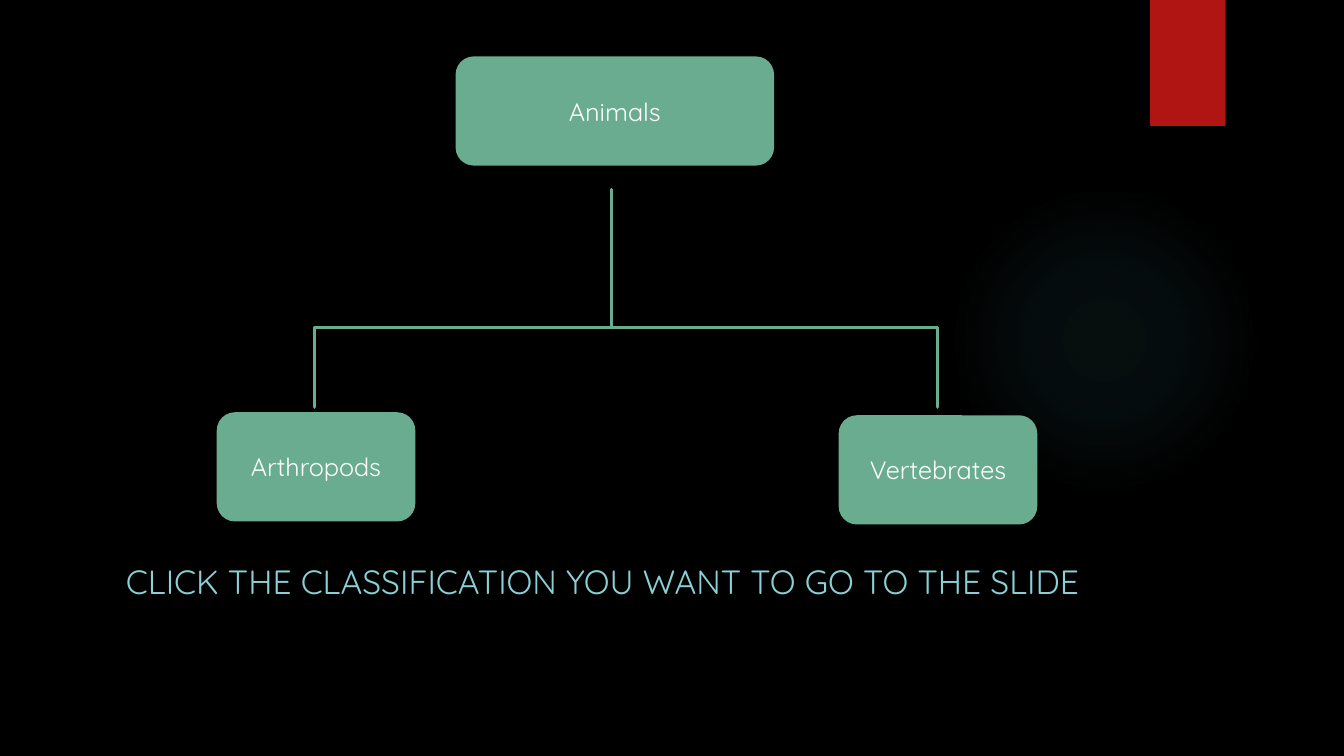
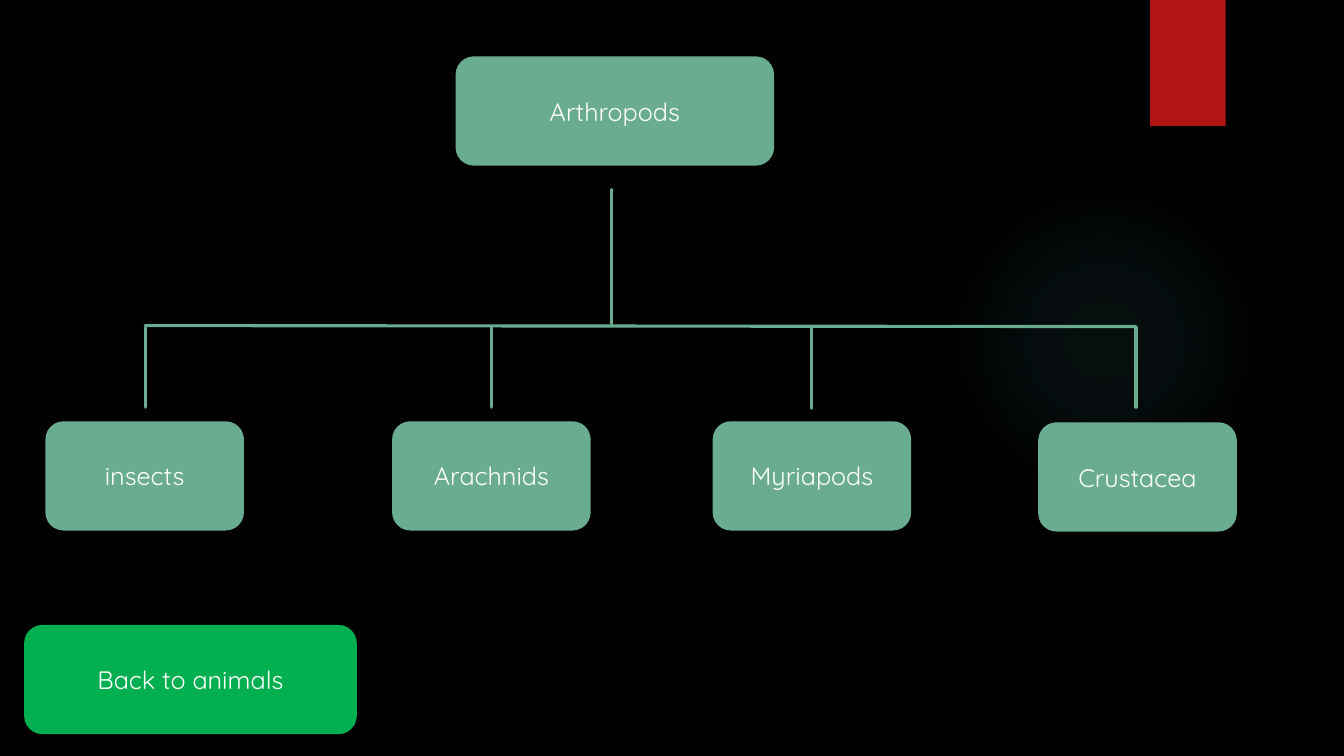
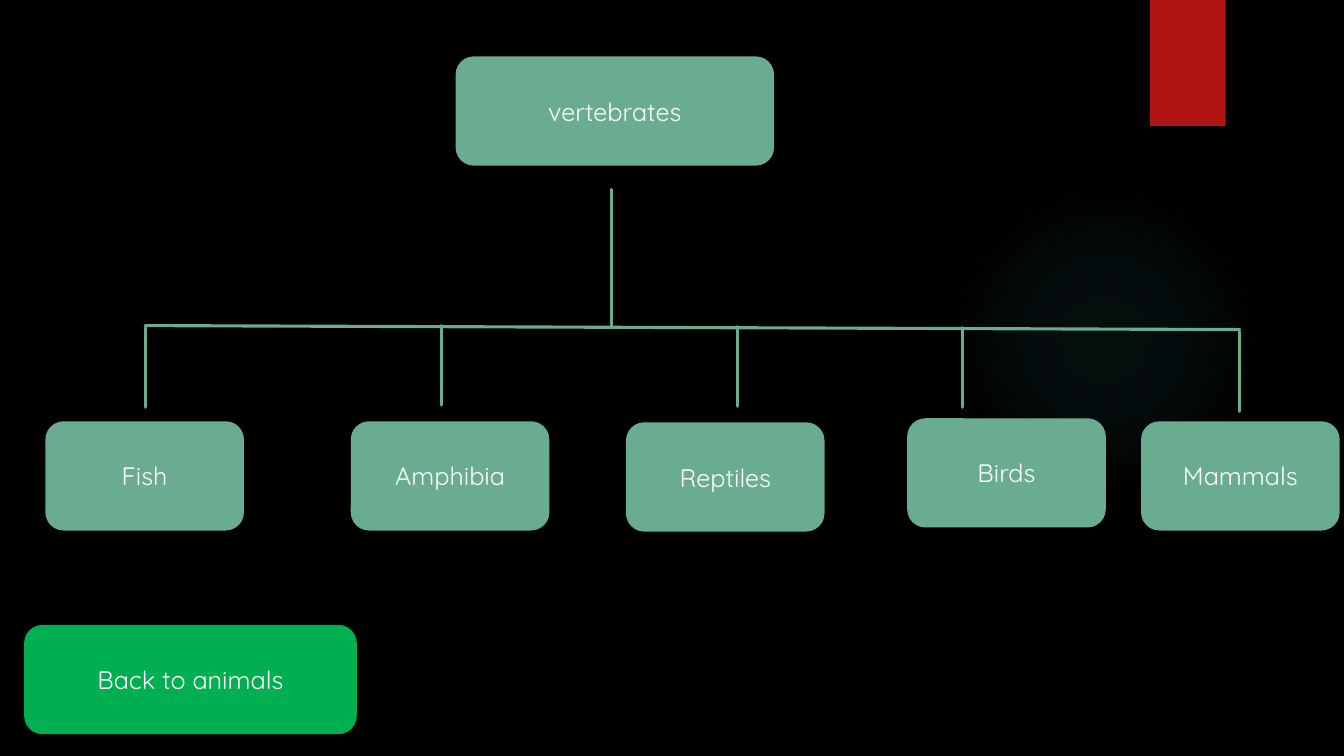
from collections import namedtuple

from pptx import Presentation
from pptx.dml.color import RGBColor
from pptx.enum.shapes import MSO_CONNECTOR, MSO_SHAPE
from pptx.enum.text import MSO_ANCHOR, MSO_AUTO_SIZE, PP_ALIGN
from pptx.oxml import parse_xml
from pptx.oxml.ns import nsdecls, qn
from pptx.oxml.xmlchemy import OxmlElement
from pptx.util import Inches, Pt

STRAIGHT = MSO_CONNECTOR.STRAIGHT
ROUNDED, OVAL, RECT = MSO_SHAPE.ROUNDED_RECTANGLE, MSO_SHAPE.OVAL, MSO_SHAPE.RECTANGLE
LEFT, CENTER = PP_ALIGN.LEFT, PP_ALIGN.CENTER
TOP, MIDDLE = MSO_ANCHOR.TOP, MSO_ANCHOR.MIDDLE
NO_AUTOFIT = MSO_AUTO_SIZE.NONE

COLORS = {
    "background": "000000",
    "ribbon": "B01513",
    "glow": "50B9C1",
    "node": "6AAC90",
    "back": "00B050",
    "label": "FFFFFF",
    "prompt": "8AD0D6",
}
FONT = "Quicksand"
COLUMNS, ROWS = 160, 90
TITLE_LAYOUT, BLANK_LAYOUT = 0, 6
NODE_HEIGHT, LEAF_WIDTH, DROP_LENGTH = 13, 23.64, 9.48
STEM_X, STEM_TOP, STEM_BOTTOM = 72.84, 22.56, 38.76
GLOW_STOPS = ((0, 7), (36, 6), (69, 0))

Leaf = namedtuple("Leaf", "label left top drop_x drop_top")


class TreeDeck:
    """Draws classification trees on a grid of 160 columns by 90 rows."""

    def __init__(self):
        self.prs = Presentation()
        self.prs.slide_width, self.prs.slide_height = Inches(13.33), Inches(7.5)
        self.slide = None
        fill = self.prs.slide_master.background.fill
        fill.solid()
        fill.fore_color.rgb = self.color("background")

    def color(self, name):
        return RGBColor.from_string(COLORS[name])

    def x(self, columns):
        return round(self.prs.slide_width * columns / COLUMNS)

    def y(self, rows):
        return round(self.prs.slide_height * rows / ROWS)

    def box(self, left, top, width, height):
        return self.x(left), self.y(top), self.x(width), self.y(height)

    def new_slide(self, layout):
        self.slide = self.prs.slides.add_slide(self.prs.slide_layouts[layout])

    def block(self, preset, color, *place):
        shape = self.slide.shapes.add_shape(preset, *self.box(*place))
        shape.shadow.inherit = False
        shape.fill.solid()
        shape.fill.fore_color.rgb = self.color(color)
        shape.line.fill.background()
        return shape

    def label(self, shape, text, size, color, align, anchor):
        frame = shape.text_frame
        frame.text = text
        frame.word_wrap = True
        frame.auto_size = NO_AUTOFIT
        frame.vertical_anchor = anchor
        paragraph = frame.paragraphs[0]
        paragraph.alignment = align
        font = paragraph.runs[0].font
        font.name, font.size = FONT, Pt(size)
        font.color.rgb = self.color(color)
        return paragraph

    def backdrop(self):
        glow = self.block(OVAL, "glow", 112.92, 21.96, 36.96, 36.96)
        ribbon = self.block(RECT, "ribbon", 136.92, 0, 9, 15)
        stops = "".join(
            f'<a:gs pos="{position * 1000}"><a:srgbClr val="{COLORS["glow"]}">'
            f'<a:alpha val="{alpha * 1000}"/></a:srgbClr></a:gs>'
            for position, alpha in GLOW_STOPS
        )
        gradient = parse_xml(
            f'<a:gradFill {nsdecls("a")}><a:gsLst>{stops}</a:gsLst><a:path path="circle">'
            '<a:fillToRect l="50000" t="50000" r="50000" b="50000"/></a:path></a:gradFill>'
        )
        properties = glow.element.spPr
        properties.replace(properties.find(qn("a:solidFill")), gradient)
        tree = self.prs.slide_master.element.cSld.spTree
        for order, part in enumerate((glow, ribbon)):
            part.element.nvSpPr.cNvPr.set("id", str(100 + order))
            tree.insert(2 + order, part.element)

    def node(self, text, left, top, width, color="node"):
        shape = self.block(ROUNDED, color, left, top, width, NODE_HEIGHT)
        self.label(shape, text, 18, "label", CENTER, MIDDLE)

    def branch(self, x1, y1, x2, y2):
        line = self.slide.shapes.add_connector(
            STRAIGHT, self.x(x1), self.y(y1), self.x(x2), self.y(y2)
        )
        line.line.color.rgb = self.color("node")
        line.line.width = Pt(2.25)
        line.get_or_add_ln().set("cap", "rnd")
        line.element.spPr.append(OxmlElement("a:effectLst"))

    def tree(self, root, leaves, rail_left, rail_right):
        self.node(root, 54.24, 6.72, 37.92)
        self.branch(STEM_X, STEM_TOP, STEM_X, STEM_BOTTOM)
        self.branch(leaves[-1].drop_x, rail_right, leaves[0].drop_x, rail_left)
        for leaf in leaves:
            self.branch(leaf.drop_x, leaf.drop_top, leaf.drop_x, leaf.drop_top + DROP_LENGTH)
            self.node(leaf.label, leaf.left, leaf.top, LEAF_WIDTH)

    def back_button(self):
        self.node("Back to animals", 2.88, 74.4, 39.6, "back")

    def prompt(self, text):
        title, subtitle = self.slide.placeholders
        title.element.getparent().remove(title.element)
        subtitle.left, subtitle.top, subtitle.width, subtitle.height = self.box(
            13.8, 66.12, 118.68, NODE_HEIGHT
        )
        paragraph = self.label(subtitle, text, 24, "prompt", LEFT, TOP)
        paragraph.space_before = Pt(10)


ANIMALS = [
    Leaf("Arthropods", 25.8, 49.08, 37.44, 39),
    Leaf("Vertebrates", 99.84, 49.44, 111.6, 39),
]
ARTHROPODS = [
    Leaf("insects", 5.4, 50.16, 17.28, 39),
    Leaf("Arachnids", 46.68, 50.16, 58.56, 39),
    Leaf("Myriapods", 84.84, 50.16, 96.6, 39.12),
    Leaf("Crustacea", 123.6, 50.28, 135.24, 39),
]
VERTEBRATES = [
    Leaf("Fish", 5.4, 50.16, 17.28, 39),
    Leaf("Amphibia", 41.76, 50.16, 52.56, 38.76),
    Leaf("Reptiles", 74.52, 50.28, 87.84, 38.88),
    Leaf("Birds", 108, 49.8, 114.6, 39),
    Leaf("Mammals", 135.84, 50.16, 147.6, 39.48),
]


def main():
    deck = TreeDeck()
    deck.new_slide(TITLE_LAYOUT)
    deck.backdrop()
    deck.tree("Animals", ANIMALS, 39, 39)
    deck.prompt("CLICK THE CLASSIFICATION YOU WANT TO GO TO THE SLIDE")
    for root, leaves, rail_right in (
        ("Arthropods", ARTHROPODS, 38.88),
        ("vertebrates", VERTEBRATES, 39.24),
    ):
        deck.new_slide(BLANK_LAYOUT)
        deck.tree(root, leaves, 38.76, rail_right)
        deck.back_button()
    deck.prs.save("out.pptx")


if __name__ == "__main__":
    main()
